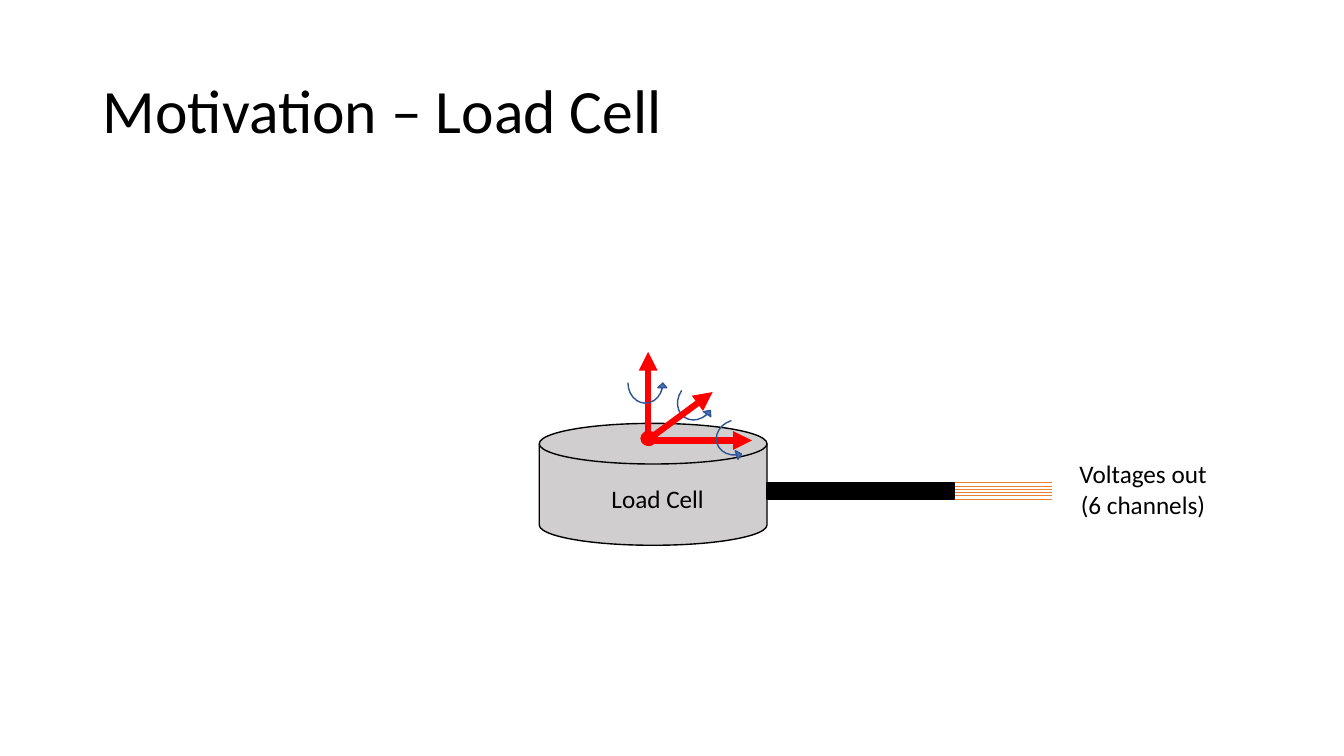
from dataclasses import dataclass

from lxml import etree
from pptx import Presentation
from pptx import util as u
from pptx.dml.color import RGBColor
from pptx.enum import shapes, text
from pptx.oxml import ns

FONT = "Calibri"
BLACK = RGBColor(0x00, 0x00, 0x00)
GREY = RGBColor(0xD0, 0xCE, 0xCE)
RED = RGBColor(0xFF, 0x00, 0x00)
ORANGE = RGBColor(0xED, 0x7D, 0x31)
BLUE = RGBColor(0x44, 0x72, 0xC4)
DARK_BLUE = RGBColor(0x32, 0x54, 0x91)
SHAPE = shapes.MSO_SHAPE


@dataclass(frozen=True)
class Box:
    left: float
    top: float
    width: float
    height: float

    def lengths(self) -> tuple:
        return tuple(u.Pt(n) for n in (self.left, self.top, self.width, self.height))


@dataclass(frozen=True)
class Part:
    kind: SHAPE
    box: Box
    fill: RGBColor
    line: RGBColor
    rotation: float = 0
    adjustments: tuple[float, ...] = ()


@dataclass(frozen=True)
class Line:
    start: tuple[float, float]
    end: tuple[float, float]
    color: RGBColor
    width: float
    arrow: bool = False


@dataclass(frozen=True)
class Label:
    box: Box
    lines: tuple[str, ...]


def moment(left: float, top: float, rotation: float = 0) -> Part:
    return Part(SHAPE.CURVED_UP_ARROW, Box(left, top, 28.08, 14.4), BLUE, DARK_BLUE,
                rotation, (0, 0.442, 0.239))


def force(start_x: float, end: tuple[float, float]) -> Line:
    return Line((start_x, 314.64), end, RED, 4.5, True)


CABLE = Box(547.92, 344.88, 133.92, 11.52)
WIRE_COUNT = 6
WIRE_START = CABLE.left + CABLE.width
WIRE_END = 751.68
WIRE_GAP = CABLE.height / (WIRE_COUNT - 1)

DEPTH_MOMENT = moment(480.24, 285.84, 34.4)
BODY = Part(SHAPE.FLOWCHART_MAGNETIC_DISK, Box(385.2, 302.4, 162.72, 87.12), GREY, BLACK)
CELL_LABEL = Label(Box(418.32, 342, 102.96, 28.8), ("Load Cell",))
WIRES = [
    Line((WIRE_START, CABLE.top + i * WIRE_GAP), (WIRE_END, CABLE.top + i * WIRE_GAP),
         ORANGE, 0.5)
    for i in range(WIRE_COUNT)
]
FORCES = [
    force(462.96, (462.96, 251.28)),
    force(463.68, (537.12, 314.64)),
    force(462.24, (509.04, 280.08)),
]
OUTPUT_LABEL = Label(Box(749.52, 324, 133.92, 51.12), ("Voltages out", "(6 channels)"))
SIDE_MOMENT = moment(505.44, 308.88, 72.8)
VERTICAL_MOMENT = moment(448.56, 273.6)
ORIGIN = Part(SHAPE.OVAL, Box(457.92, 308.16, 10.8, 10.08), RED, RED)

DRAWING = [
    DEPTH_MOMENT, BODY, CELL_LABEL, Part(SHAPE.RECTANGLE, CABLE, BLACK, BLACK),
    *WIRES, *FORCES, OUTPUT_LABEL, SIDE_MOMENT, VERTICAL_MOMENT, ORIGIN,
]


def add_run(paragraph, words: str, size: float) -> None:
    run = paragraph.add_run()
    run.text = words
    run.font.name = FONT
    run.font.size = u.Pt(size)
    run.font.color.rgb = BLACK


def add_title(slide, words: str) -> None:
    title = slide.shapes.title
    title.left, title.top, title.width, title.height = Box(66.24, 28.8, 828, 104.4).lengths()
    frame = title.text_frame
    frame.auto_size = text.MSO_AUTO_SIZE.NONE
    frame.vertical_anchor = text.MSO_ANCHOR.MIDDLE
    paragraph = frame.paragraphs[0]
    paragraph.alignment = text.PP_ALIGN.LEFT
    paragraph.line_spacing = 0.9
    add_run(paragraph, words, 44)


def add_part(slide, part: Part) -> None:
    shape = slide.shapes.add_shape(part.kind, *part.box.lengths())
    shape.shadow.inherit = False
    shape.rotation = part.rotation
    for index, value in enumerate(part.adjustments):
        shape.adjustments[index] = value
    shape.fill.solid()
    shape.fill.fore_color.rgb = part.fill
    shape.line.color.rgb = part.line
    shape.line.width = u.Pt(1)


def add_line(slide, line: Line) -> None:
    connector = slide.shapes.add_connector(
        shapes.MSO_CONNECTOR.STRAIGHT, *(u.Pt(n) for n in (*line.start, *line.end)))
    connector.line.color.rgb = line.color
    connector.line.width = u.Pt(line.width)
    if line.arrow:
        outline = connector.line._get_or_add_ln()
        etree.SubElement(outline, ns.qn("a:tailEnd"), type="triangle")
    etree.SubElement(connector._element.spPr, ns.qn("a:effectLst"))


def add_label(slide, label: Label) -> None:
    frame = slide.shapes.add_textbox(*label.box.lengths()).text_frame
    frame.word_wrap = True
    frame.auto_size = text.MSO_AUTO_SIZE.SHAPE_TO_FIT_TEXT
    for index, words in enumerate(label.lines):
        paragraph = frame.add_paragraph() if index else frame.paragraphs[0]
        paragraph.alignment = text.PP_ALIGN.CENTER
        add_run(paragraph, words, 18)


def main() -> None:
    presentation = Presentation()
    presentation.slide_width, presentation.slide_height = u.Pt(960), u.Pt(540)
    slide = presentation.slides.add_slide(presentation.slide_layouts[5])
    add_title(slide, "Motivation – Load Cell")
    draw = {Part: add_part, Line: add_line, Label: add_label}
    for item in DRAWING:
        draw[type(item)](slide, item)
    presentation.save("out.pptx")


if __name__ == "__main__":
    main()
